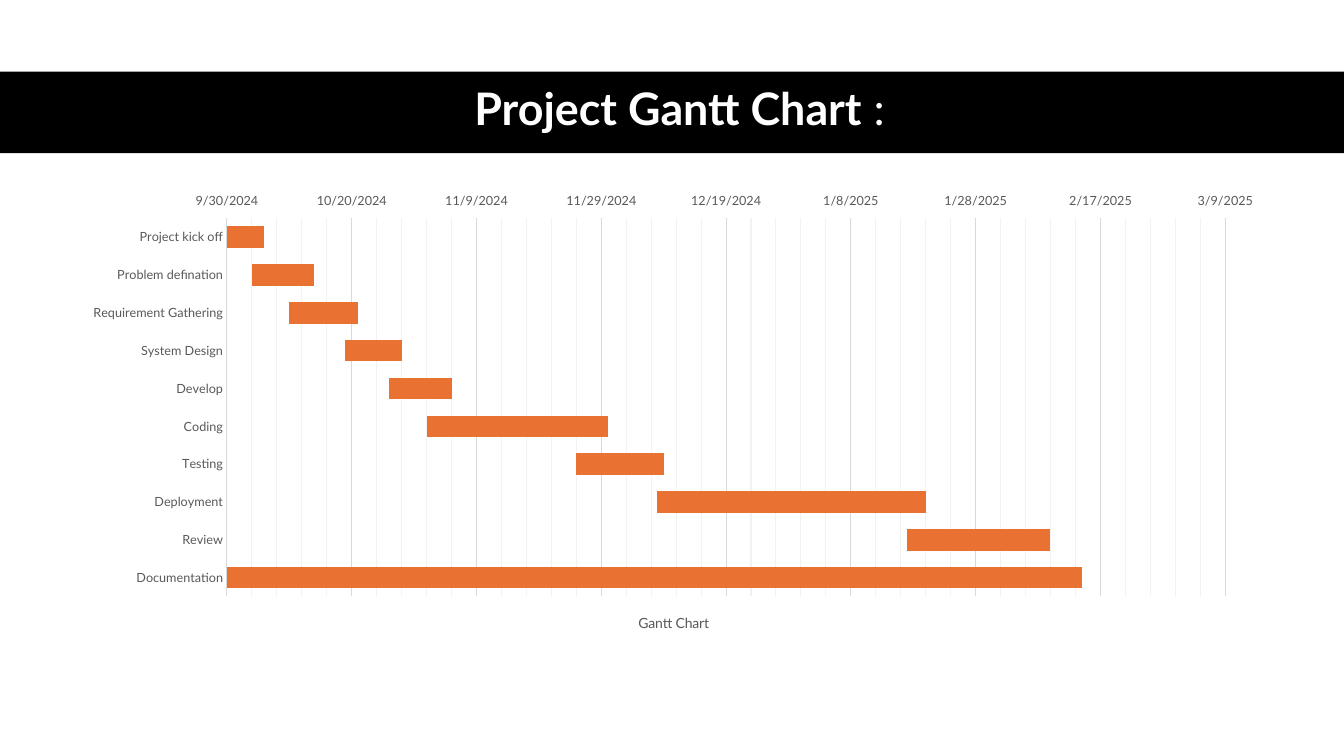
from lxml.etree import SubElement
from pptx import Presentation
from pptx.chart.data import CategoryChartData
from pptx.dml.color import RGBColor
from pptx.enum.chart import XL_CHART_TYPE, XL_TICK_MARK
from pptx.enum.shapes import MSO_SHAPE
from pptx.enum.text import MSO_ANCHOR, MSO_AUTO_SIZE, PP_ALIGN
from pptx.oxml.ns import qn
from pptx.util import Inches, Pt

BLACK = RGBColor(0x00, 0x00, 0x00)
WHITE = RGBColor(0xFF, 0xFF, 0xFF)
GRAY = RGBColor(0x59, 0x59, 0x59)
MAJOR_GRID = RGBColor(0xD9, 0xD9, 0xD9)
MINOR_GRID = RGBColor(0xF2, 0xF2, 0xF2)
ORANGE = RGBColor(0xE9, 0x71, 0x32)
FONT = "Lato"

PROJECT_START = 45565  # date serial of 9/30/2024
SHOWN_DAYS = 160
# task, start in days after the project start, duration in days
TASKS = [
    ("Project kick off", 0, 6),
    ("Problem defination", 4, 10),
    ("Requirement Gathering", 10, 11),
    ("System Design", 19, 9),
    ("Develop", 26, 10),
    ("Coding", 32, 29),
    ("Testing", 56, 14),
    ("Deployment", 69, 43),
    ("Review", 109, 23),
    ("Documentation", 0, 137),
]


def style_font(font, size, color, bold=False):
    font.name = FONT
    font.size = Pt(size)
    font.bold = bold
    font.color.rgb = color


def set_layout(parent, index, **settings):
    """Give a chart part a manual layout, placed as child number index."""
    for old_layout in parent.findall(qn("c:layout")):
        parent.remove(old_layout)
    layout = SubElement(parent, qn("c:layout"))
    parent.insert(index, layout)
    manual = SubElement(layout, qn("c:manualLayout"))
    for name, value in settings.items():
        SubElement(manual, qn(f"c:{name}")).set("val", str(value))


def color_minor_gridlines(axis, color):
    axis.has_minor_gridlines = True
    gridlines = axis._element.find(qn("c:minorGridlines"))
    properties = SubElement(gridlines, qn("c:spPr"))
    line = SubElement(properties, qn("a:ln"), w=str(Pt(0.75)))
    fill = SubElement(line, qn("a:solidFill"))
    SubElement(fill, qn("a:srgbClr"), val=str(color))


def add_title(slide):
    band = slide.shapes.add_shape(
        MSO_SHAPE.RECTANGLE, 0, Inches(0.71), Inches(13.33), Inches(0.81))
    band.shadow.inherit = False
    band.fill.solid()
    band.fill.fore_color.rgb = BLACK
    band.line.fill.background()

    title = slide.shapes.title
    title._element.addprevious(band._element)
    title.left, title.top = Inches(0.61), Inches(0.7)
    title.width, title.height = Inches(12.26), Inches(0.81)
    frame = title.text_frame
    frame.auto_size = MSO_AUTO_SIZE.NONE
    frame.vertical_anchor = MSO_ANCHOR.MIDDLE
    paragraph = frame.paragraphs[0]
    paragraph.alignment = PP_ALIGN.CENTER
    paragraph.line_spacing = 0.9
    paragraph.space_after = Pt(6)
    for text, bold in [("Project Gantt Chart", True), (" :", False)]:
        run = paragraph.add_run()
        run.text = text
        style_font(run.font, 32, WHITE, bold)


def add_gantt(slide):
    names, starts, durations = zip(*TASKS)
    data = CategoryChartData()
    data.categories = names
    data.add_series("Series 1", [PROJECT_START + start for start in starts])
    data.add_series("Series 2", durations)
    chart = slide.shapes.add_chart(
        XL_CHART_TYPE.BAR_STACKED, Inches(0.7), Inches(1.83),
        Inches(11.93), Inches(4.81), data).chart
    chart.has_title = False
    chart.has_legend = False
    style_font(chart.font, 10, BLACK)

    plot = chart.plots[0]
    plot.gap_width = 75
    plot.overlap = 100
    plot.vary_by_categories = False
    offset, bars = plot.series
    offset.format.fill.background()
    bars.format.fill.solid()
    bars.format.fill.fore_color.rgb = ORANGE

    tasks, dates = chart.category_axis, chart.value_axis
    for axis in (tasks, dates):
        axis.format.line.fill.background()
        axis.minor_tick_mark = XL_TICK_MARK.NONE
        style_font(axis.tick_labels.font, 9, GRAY)
    tasks.reverse_order = True
    tasks.major_tick_mark = XL_TICK_MARK.NONE
    dates.major_tick_mark = XL_TICK_MARK.OUTSIDE
    dates.minimum_scale = PROJECT_START
    dates.maximum_scale = PROJECT_START + SHOWN_DAYS
    dates.major_unit, dates.minor_unit = 20, 4
    dates.tick_labels.number_format = "m/d/yyyy"
    dates.tick_labels.number_format_is_linked = False
    dates.has_major_gridlines = True
    dates.major_gridlines.format.line.width = Pt(0.75)
    dates.major_gridlines.format.line.color.rgb = MAJOR_GRID
    color_minor_gridlines(dates, MINOR_GRID)

    paragraph = dates.axis_title.text_frame.paragraphs[0]
    paragraph.text = "Gantt Chart"
    style_font(paragraph.runs[0].font, 10, GRAY)
    set_layout(dates.axis_title._element, 1,
               xMode="edge", yMode="edge", x=0.47, y=0.88)
    set_layout(plot._element.getparent(), 0, layoutTarget="inner",
               xMode="edge", yMode="edge", x=0.13, y=0.07, w=0.83, h=0.78)


def main():
    presentation = Presentation()
    presentation.slide_width = Inches(13.33)
    presentation.slide_height = Inches(7.5)
    slide = presentation.slides.add_slide(presentation.slide_layouts[5])
    add_title(slide)
    add_gantt(slide)
    presentation.save("out.pptx")


if __name__ == "__main__":
    main()
